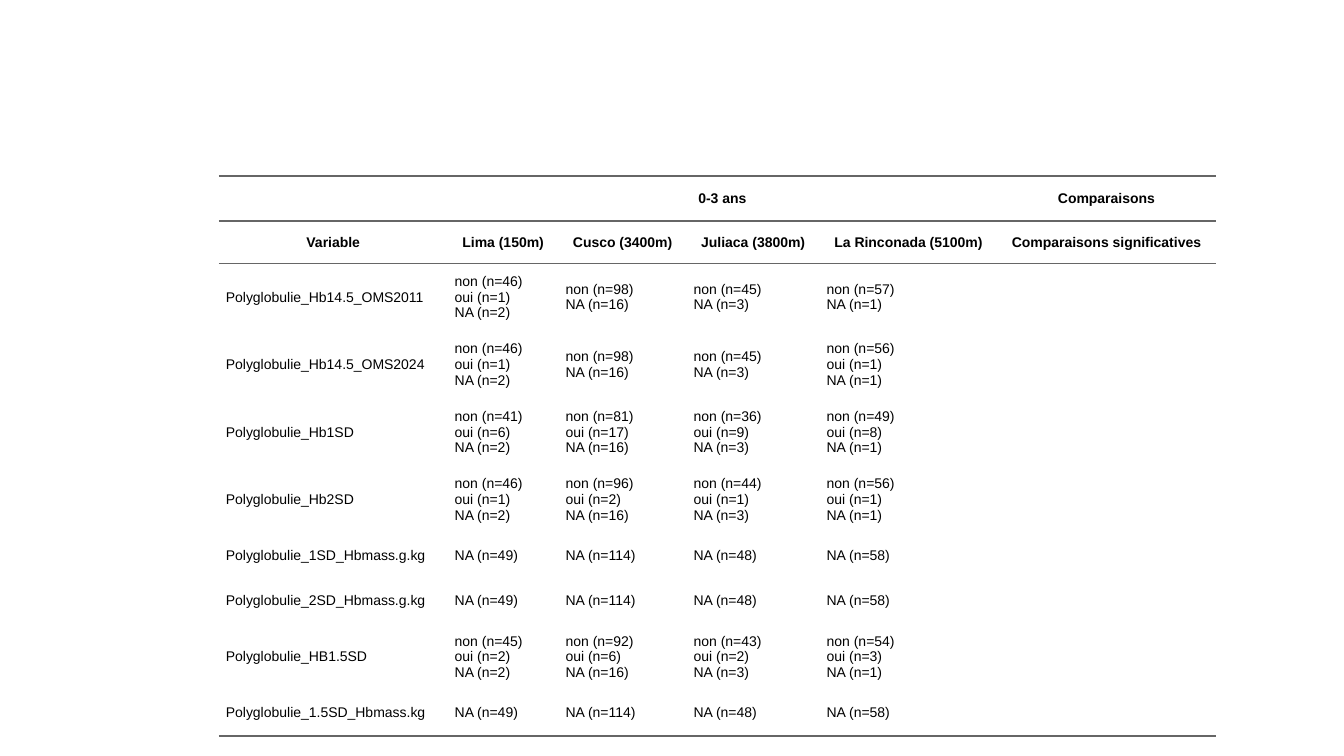
from dataclasses import dataclass

from lxml.etree import SubElement
from pptx import Presentation
from pptx.dml.color import RGBColor
from pptx.enum.text import MSO_ANCHOR, PP_ALIGN
from pptx.oxml.ns import qn
from pptx.table import _Cell
from pptx.util import Inches, Pt

COLORS = {"text": "000000", "rule": "666666"}
FONT = "Arial"
FONT_SIZE = 10
RULE_WIDTH = 1.5
PADDING = 0.07
COLUMN_WIDTHS = [2.27, 1.1, 1.27, 1.32, 1.76, 2.17]
SHORT_ROW, TALL_ROW = 0.42, 0.67


@dataclass
class Row:
    cells: list[str]
    height: float = TALL_ROW
    header: bool = False


# Table content
ROWS = [
    Row(["", "0-3 ans", "", "", "", "Comparaisons"], SHORT_ROW, header=True),
    Row(["Variable", "Lima (150m)", "Cusco (3400m)", "Juliaca (3800m)",
         "La Rinconada (5100m)", "Comparaisons significatives"], SHORT_ROW, header=True),
    Row(["Polyglobulie_Hb14.5_OMS2011", "non (n=46)\noui (n=1)\nNA (n=2)",
         "non (n=98)\nNA (n=16)", "non (n=45)\nNA (n=3)", "non (n=57)\nNA (n=1)", ""]),
    Row(["Polyglobulie_Hb14.5_OMS2024", "non (n=46)\noui (n=1)\nNA (n=2)",
         "non (n=98)\nNA (n=16)", "non (n=45)\nNA (n=3)",
         "non (n=56)\noui (n=1)\nNA (n=1)", ""]),
    Row(["Polyglobulie_Hb1SD", "non (n=41)\noui (n=6)\nNA (n=2)",
         "non (n=81)\noui (n=17)\nNA (n=16)", "non (n=36)\noui (n=9)\nNA (n=3)",
         "non (n=49)\noui (n=8)\nNA (n=1)", ""]),
    Row(["Polyglobulie_Hb2SD", "non (n=46)\noui (n=1)\nNA (n=2)",
         "non (n=96)\noui (n=2)\nNA (n=16)", "non (n=44)\noui (n=1)\nNA (n=3)",
         "non (n=56)\noui (n=1)\nNA (n=1)", ""]),
    *(Row([f"Polyglobulie_{threshold}_Hbmass.g.kg", "NA (n=49)", "NA (n=114)",
           "NA (n=48)", "NA (n=58)", ""], SHORT_ROW) for threshold in ("1SD", "2SD")),
    Row(["Polyglobulie_HB1.5SD", "non (n=45)\noui (n=2)\nNA (n=2)",
         "non (n=92)\noui (n=6)\nNA (n=16)", "non (n=43)\noui (n=2)\nNA (n=3)",
         "non (n=54)\noui (n=3)\nNA (n=1)", ""]),
    Row(["Polyglobulie_1.5SD_Hbmass.kg", "NA (n=49)", "NA (n=114)",
         "NA (n=48)", "NA (n=58)", ""], SHORT_ROW),
]


def set_borders(cell: _Cell, top: bool, bottom: bool) -> None:
    properties = cell._tc.get_or_add_tcPr()
    sides = {"a:lnL": False, "a:lnR": False, "a:lnT": top, "a:lnB": bottom}
    for position, (side, ruled) in enumerate(sides.items()):
        line = SubElement(properties, qn(side), w=str(Pt(RULE_WIDTH)))
        if ruled:
            fill = SubElement(line, qn("a:solidFill"))
            SubElement(fill, qn("a:srgbClr"), val=COLORS["rule"])
        else:
            SubElement(line, qn("a:noFill"))
        properties.insert(position, line)


def write_cell(cell: _Cell, text: str, header: bool) -> None:
    cell.fill.background()
    cell.vertical_anchor = MSO_ANCHOR.MIDDLE
    cell.margin_left = cell.margin_right = 0
    cell.margin_top = cell.margin_bottom = Inches(PADDING)
    if not text:
        return
    paragraph = cell.text_frame.paragraphs[0]
    paragraph.alignment = PP_ALIGN.CENTER if header else PP_ALIGN.LEFT
    indents = paragraph._p.get_or_add_pPr()
    for side in ("marL", "marR"):
        indents.set(side, str(Inches(PADDING)))
    indents.set("indent", "0")
    for number, line in enumerate(text.split("\n")):
        if number:
            paragraph.add_line_break()
        run = paragraph.add_run()
        run.text = line
        run.font.name = FONT
        run.font.size = Pt(FONT_SIZE)
        run.font.bold = header
        run.font.color.rgb = RGBColor.from_string(COLORS["text"])


def main() -> None:
    presentation = Presentation()
    presentation.slide_width, presentation.slide_height = Inches(13.33), Inches(7.5)
    slide = presentation.slides.add_slide(presentation.slide_layouts[6])

    # Table frame
    heights = [row.height for row in ROWS]
    polycythemia = slide.shapes.add_table(
        len(ROWS), len(COLUMN_WIDTHS), Inches(2.17), Inches(1.75),
        Inches(sum(COLUMN_WIDTHS)), Inches(sum(heights))).table
    polycythemia.first_row = polycythemia.horz_banding = False
    for column, width in zip(polycythemia.columns, COLUMN_WIDTHS):
        column.width = Inches(width)

    # Cells, ruled around the headers and under the last row
    for index, row in enumerate(ROWS):
        polycythemia.rows[index].height = Inches(row.height)
        top = row.header or ROWS[index - 1].header
        bottom = row.header or index == len(ROWS) - 1
        for cell, text in zip(polycythemia.rows[index].cells, row.cells):
            write_cell(cell, text, row.header)
            set_borders(cell, top, bottom)

    # Age group spans the four cities
    polycythemia.cell(0, 1).merge(polycythemia.cell(0, 4))
    presentation.save("out.pptx")


if __name__ == "__main__":
    main()
